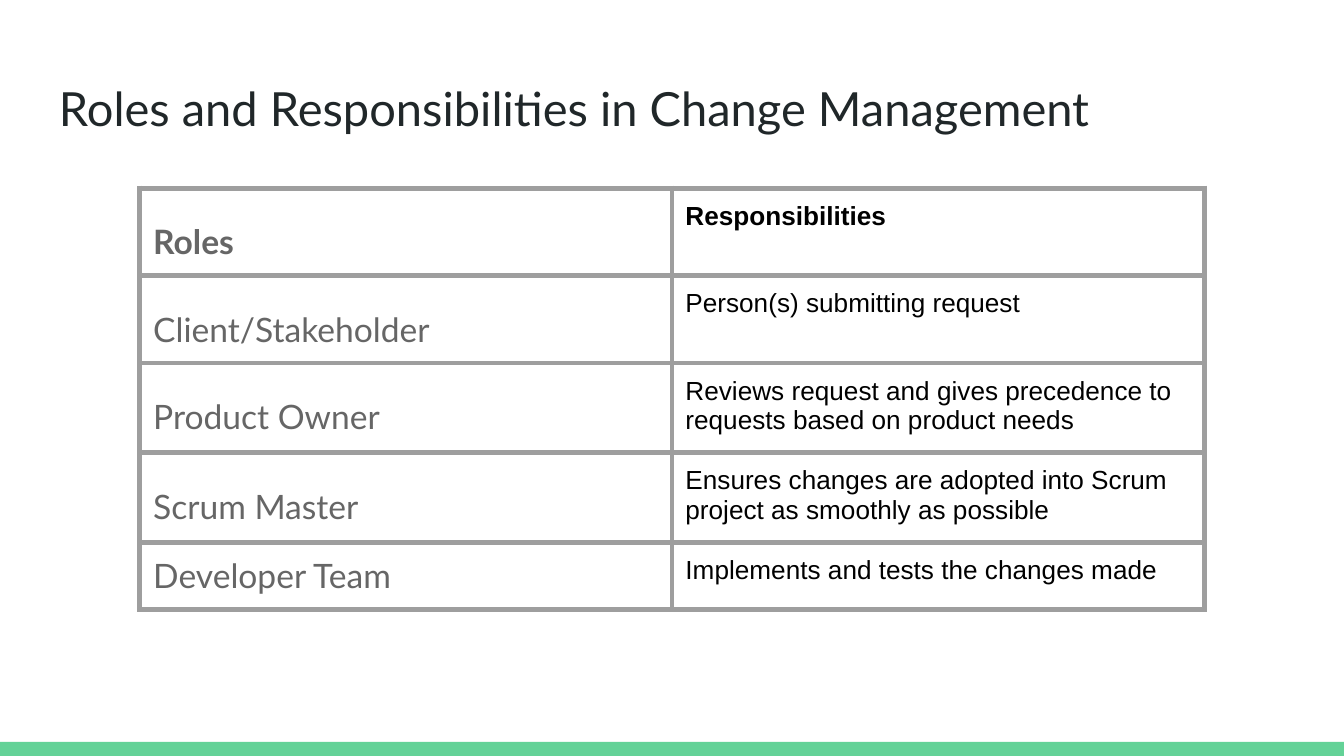
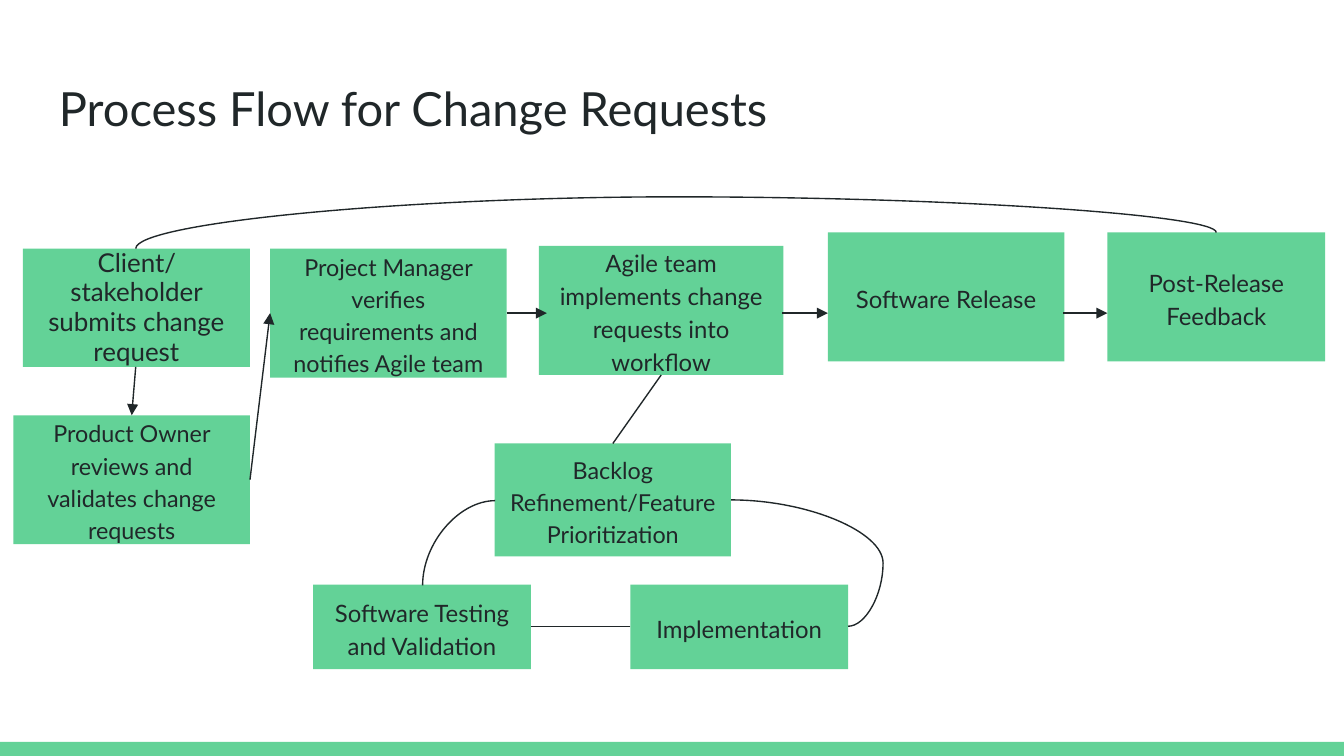
from lxml import etree
from pptx import Presentation
from pptx.dml.color import RGBColor
from pptx.enum.shapes import MSO_CONNECTOR, MSO_SHAPE
from pptx.enum.text import MSO_ANCHOR, PP_ALIGN
from pptx.oxml.ns import qn
from pptx.util import Inches, Pt

STRAIGHT, CURVE = MSO_CONNECTOR.STRAIGHT, MSO_CONNECTOR.CURVE
RECTANGLE = MSO_SHAPE.RECTANGLE
TOP, MIDDLE = MSO_ANCHOR.TOP, MSO_ANCHOR.MIDDLE
LEFT, CENTER = PP_ALIGN.LEFT, PP_ALIGN.CENTER

COLORS = {
    "green": "63D297",
    "ink": "202729",
    "role": "666666",
    "duty": "000000",
    "border": "9E9E9E",
    "paper": "FFFFFF",
}
INSET = 0.1

ROLES_TITLE = "Roles and Responsibilities in Change Management"
ROLES = [
    ("Roles", "Responsibilities"),
    ("Client/Stakeholder", "Person(s) submitting request"),
    ("Product Owner", "Reviews request and gives precedence to requests based on product needs"),
    ("Scrum Master", "Ensures changes are adopted into Scrum project as smoothly as possible"),
    ("Developer Team", "Implements and tests the changes made"),
]
COLUMN_WIDTH, ROW_HEIGHT = 3.96, 0.42

FLOW_TITLE = "Process Flow for Change Requests"
STEPS = [
    ("Client/stakeholder submits change request", (0.17, 1.85, 1.69, 0.88), 13.9, 0.95),
    ("Product Owner reviews and validates change requests", (0.1, 3.09, 1.76, 0.96), 12.5, 1.15),
    ("Project Manager verifies requirements and notifies Agile team",
     (2.01, 1.85, 1.76, 0.96), 12.5, 1.15),
    ("Agile team implements change requests into workflow", (4.01, 1.83, 1.82, 0.96), 12.8, 1.15),
    ("Software Release", (6.16, 1.73, 1.76, 0.96), 12.8, 1.15),
    ("Post-Release Feedback", (8.24, 1.73, 1.62, 0.96), 12.8, 1.15),
    ("Backlog Refinement/Feature Prioritization", (3.68, 3.3, 1.76, 0.84), 12.5, 1.15),
    ("Software Testing and Validation", (2.33, 4.35, 1.62, 0.63), 12.8, 1.15),
    ("Implementation", (4.69, 4.35, 1.62, 0.63), 12.8, 1.15),
]
ARROWS = [
    ((1.01, 2.73), (0.98, 3.09)),
    ((1.86, 3.57), (2.01, 2.33)),
    ((3.77, 2.33), (4.07, 2.33)),
    ((5.82, 2.33), (6.16, 2.33)),
    ((7.91, 2.33), (8.24, 2.33)),
]
BACKLOG_LINK = ((4.92, 2.79), (4.56, 3.3))
CURVES = [
    {"start": (5.44, 3.72), "end": (6.31, 4.66), "bend": 1.3},
    {"start": (4.69, 4.66), "end": (3.95, 4.66), "bend": 0.5},
    {"start": (3.1, 3.77), "end": (3.73, 4.31), "turn": 270, "preset": "curvedConnector2"},
    {"start": (4.97, -2.23), "end": (5.09, 5.81), "turn": 90, "bend": -2.21},
]


def rgb(name):
    return RGBColor.from_string(COLORS[name])


def box(values):
    return [Inches(value) for value in values]


def write(frame, text, size, font="Lato", color="ink", bold=False, align=LEFT,
          spacing=1.0, after=0):
    frame.word_wrap = True
    paragraph = frame.paragraphs[0]
    paragraph.alignment = align
    paragraph.line_spacing = spacing
    paragraph.space_after = Pt(after)
    run = paragraph.add_run()
    run.text = text
    run.font.size = Pt(size)
    run.font.name = font
    run.font.bold = bold
    run.font.color.rgb = rgb(color)


def pad(holder, anchor):
    holder.margin_left = holder.margin_right = Inches(INSET)
    holder.margin_top = holder.margin_bottom = Inches(INSET)
    holder.vertical_anchor = anchor


def add_block(slide, place):
    block = slide.shapes.add_shape(RECTANGLE, *box(place))
    block.shadow.inherit = False
    block.fill.solid()
    block.fill.fore_color.rgb = rgb("green")
    block.line.fill.background()
    return block


def add_page(deck, heading):
    slide = deck.slides.add_slide(deck.slide_layouts[6])
    slide.background.fill.solid()
    slide.background.fill.fore_color.rgb = rgb("paper")
    add_block(slide, (0, 5.52, 10, 0.11))
    title = slide.shapes.add_textbox(*box((0.34, 0.49, 9.32, 0.63))).text_frame
    pad(title, TOP)
    write(title, heading, 25.2)
    return slide


def add_borders(cell):
    properties = cell._tc.get_or_add_tcPr()
    for position, side in enumerate(("lnL", "lnR", "lnT", "lnB")):
        edge = etree.Element(qn(f"a:{side}"), w=str(Pt(3)))
        fill = etree.SubElement(edge, qn("a:solidFill"))
        etree.SubElement(fill, qn("a:srgbClr"), val=COLORS["border"])
        properties.insert(position, edge)


def add_roles(slide):
    place = (1.04, 1.4, 2 * COLUMN_WIDTH, len(ROLES) * ROW_HEIGHT)
    table = slide.shapes.add_table(len(ROLES), 2, *box(place)).table
    table.first_row = table.horz_banding = False
    for column in table.columns:
        column.width = Inches(COLUMN_WIDTH)
    for index, (role, duty) in enumerate(ROLES):
        table.rows[index].height = Inches(ROW_HEIGHT)
        header, last = index == 0, index == len(ROLES) - 1
        role_cell, duty_cell = table.cell(index, 0), table.cell(index, 1)
        for cell in (role_cell, duty_cell):
            pad(cell, TOP)
            cell.fill.solid()
            cell.fill.fore_color.rgb = rgb("paper")
            add_borders(cell)
        write(role_cell.text_frame, role, 18, color="role", bold=header,
              spacing=1.0 if last else 1.5, after=0 if last else 12)
        write(duty_cell.text_frame, duty, 14, font="Arial", color="duty", bold=header)


def add_link(slide, start, end, kind=STRAIGHT, arrow=False):
    link = slide.shapes.add_connector(kind, *box(start + end))
    link.line.color.rgb = rgb("ink")
    link.line.width = Pt(0.75)
    if arrow:
        etree.SubElement(link.line._get_or_add_ln(), qn("a:tailEnd"), type="triangle")
    etree.SubElement(link._element.spPr, qn("a:effectLst"))
    return link


def add_curve(slide, start, end, turn=0, bend=None, preset="curvedConnector3"):
    properties = add_link(slide, start, end, CURVE)._element.spPr
    if turn:
        properties.find(qn("a:xfrm")).set("rot", str(turn * 60000))
    geometry = properties.find(qn("a:prstGeom"))
    geometry.set("prst", preset)
    if bend is not None:
        guides = geometry.find(qn("a:avLst"))
        etree.SubElement(guides, qn("a:gd"), name="adj1", fmla=f"val {round(bend * 100000)}")


def add_flow(slide):
    for text, place, size, spacing in STEPS:
        step = add_block(slide, place).text_frame
        pad(step, MIDDLE)
        write(step, text, size, align=CENTER, spacing=spacing, after=12)
    for start, end in ARROWS:
        add_link(slide, start, end, arrow=True)
    add_link(slide, *BACKLOG_LINK)
    for curve in CURVES:
        add_curve(slide, **curve)


def main():
    deck = Presentation()
    deck.slide_width = Inches(10)
    deck.slide_height = deck.slide_width * 9 // 16
    add_roles(add_page(deck, ROLES_TITLE))
    add_flow(add_page(deck, FLOW_TITLE))
    deck.save("out.pptx")


if __name__ == "__main__":
    main()
